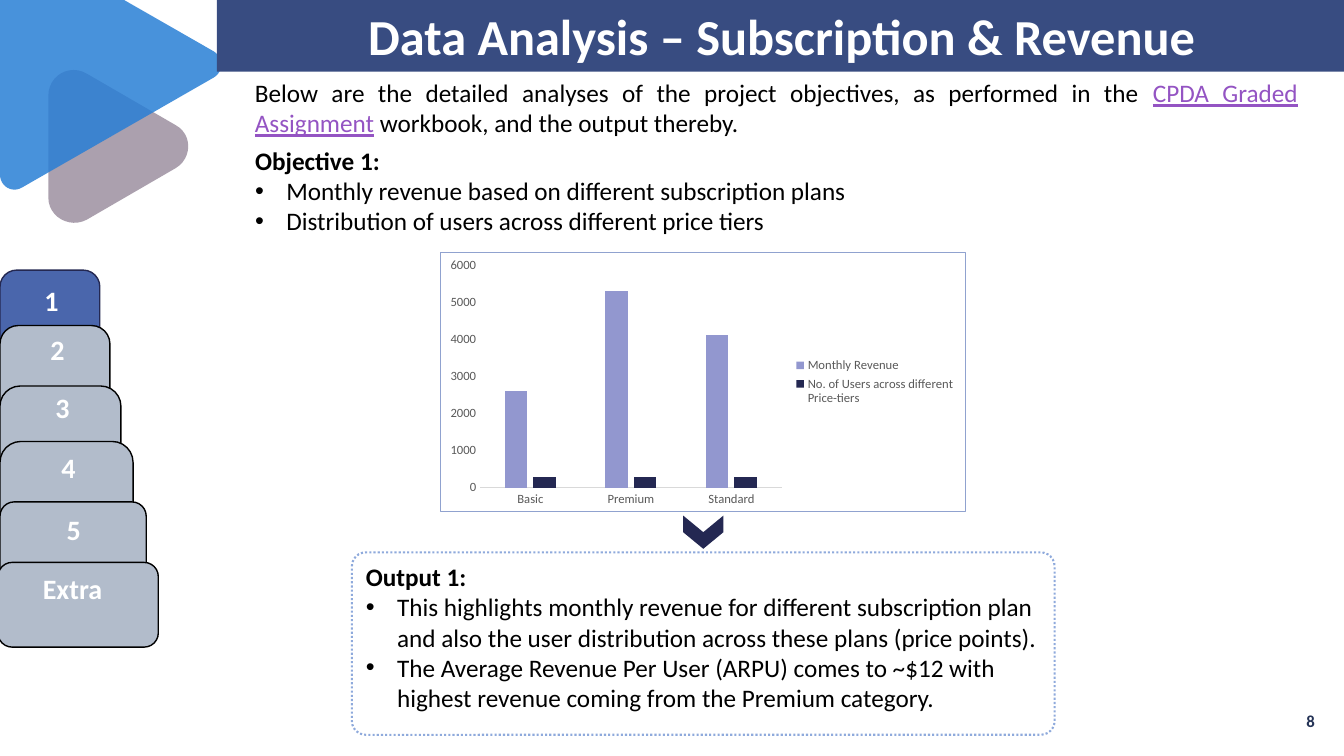
from lxml import etree
from pptx import Presentation
from pptx.chart.data import CategoryChartData
from pptx.dml.color import RGBColor
from pptx.enum.chart import XL_CHART_TYPE, XL_LEGEND_POSITION, XL_TICK_MARK
from pptx.enum.dml import MSO_LINE
from pptx.enum.shapes import MSO_SHAPE
from pptx.enum.text import MSO_ANCHOR, MSO_AUTO_SIZE, PP_ALIGN
from pptx.oxml import parse_xml
from pptx.oxml.ns import nsdecls, qn
from pptx.util import Inches, Pt

COLUMN_CLUSTERED = XL_CHART_TYPE.COLUMN_CLUSTERED
LEGEND_RIGHT = XL_LEGEND_POSITION.RIGHT
NO_TICK = XL_TICK_MARK.NONE
ROUND_DOT = MSO_LINE.ROUND_DOT
RECTANGLE_ROUNDED = MSO_SHAPE.ROUNDED_RECTANGLE
CHEVRON = MSO_SHAPE.CHEVRON
TOP, MIDDLE = MSO_ANCHOR.TOP, MSO_ANCHOR.MIDDLE
NO_AUTOFIT = MSO_AUTO_SIZE.NONE
LEFT, CENTER, RIGHT, JUSTIFY = PP_ALIGN.LEFT, PP_ALIGN.CENTER, PP_ALIGN.RIGHT, PP_ALIGN.JUSTIFY

FONT = "Calibri"
HEX = {
    "white": "FFFFFF", "black": "000000", "banner": "384C81", "mauve": "9D90A0",
    "blue": "297FD5", "link": "9454C3", "page": "253356", "active": "4A66AC",
    "tab": "B2BCCB", "navy": "242852", "lilac": "9297CF", "dots": "8FAADC",
    "border": "90A2CF", "label": "595959", "axis": "D9D9D9",
}
COLORS = {name: RGBColor.from_string(value) for name, value in HEX.items()}


def box(*lengths):
    return tuple(Inches(length) for length in lengths)


def add_run(paragraph, text, size, color, bold=False):
    run = paragraph.add_run()
    run.text = text
    run.font.name = FONT
    run.font.size = Pt(size)
    run.font.bold = bold
    run.font.color.rgb = COLORS[color]
    return run


presentation = Presentation()
presentation.slide_width, presentation.slide_height = box(13.33, 7.5)
slide = presentation.slides.add_slide(presentation.slide_layouts[1])
shapes = slide.shapes
title, objective = shapes.title, slide.placeholders[1]

triangles = [
    ("mauve", [(0.48, 1.46), (0.48, 0.95), (0.48, 0.75, 0.69, 0.63, 0.86, 0.73), (1.74, 1.24),
               (1.91, 1.33, 1.91, 1.57, 1.74, 1.67), (0.86, 2.18),
               (0.69, 2.27, 0.48, 2.15, 0.48, 1.96)]),
    ("blue", [(0, 0), (1.23, 0), (2.12, 0.51), (2.22, 0.57, 2.22, 0.71, 2.12, 0.77),
              (0.22, 1.86), (0.12, 1.92, 0, 1.85, 0, 1.73)]),
]
for color, outline in triangles:
    points = []
    for step in outline:
        if len(step) == 2:
            points.append(step)
            continue
        x0, y0 = points[-1]
        x1, y1, x2, y2, x3, y3 = step
        for t in [index / 12 for index in range(1, 13)]:
            a, b, c, d = (1 - t) ** 3, 3 * t * (1 - t) ** 2, 3 * t * t * (1 - t), t ** 3
            points.append((a * x0 + b * x1 + c * x2 + d * x3,
                           a * y0 + b * y1 + c * y2 + d * y3))
    builder = shapes.build_freeform(*box(*points[0]))
    builder.add_line_segments([box(*point) for point in points[1:]], close=True)
    triangle = builder.convert_to_shape()
    triangle.shadow.inherit = False
    triangle.fill.solid()
    triangle.fill.fore_color.rgb = COLORS[color]
    triangle.line.fill.background()
    solid_color = triangle.element.spPr.find(qn("a:solidFill"))[0]
    etree.SubElement(solid_color, qn("a:alpha"), val="85000")

title.element.getparent().append(title.element)
title.left, title.top, title.width, title.height = box(2.15, -0.01, 11.21, 0.72)
title.fill.solid()
title.fill.fore_color.rgb = COLORS["banner"]
title.text_frame.auto_size = NO_AUTOFIT
title.text_frame.vertical_anchor = MIDDLE
title.text_frame.paragraphs[0].alignment = CENTER
add_run(title.text_frame.paragraphs[0], "Data Analysis – Subscription & Revenue", 36, "white", True)

intro = shapes.add_textbox(*box(2.43, 0.72, 10.54, 0.71)).text_frame
intro.word_wrap = True
paragraph = intro.paragraphs[0]
paragraph.alignment = JUSTIFY
add_run(paragraph, "Below are the detailed analyses of the project objectives, as performed in the ", 18, "black")
add_run(paragraph, "CPDA Graded Assignment", 18, "link").font.underline = True
add_run(paragraph, " workbook, and the output thereby.", 18, "black")

page = shapes.add_textbox(*box(11.67, 6.95, 1.47, 0.4)).text_frame
page.word_wrap = True
page.vertical_anchor = MIDDLE
page.paragraphs[0].alignment = RIGHT
add_run(page.paragraphs[0], "8", 12, "page", True)

tabs = [
    ("1", 0.99, 2.68, 2.44, 2.76, 0.51),
    ("2", 1.09, 3.23, 2.44, 3.25, 0.57),
    ("3", 1.2, 3.83, 2.44, 3.83, 0.62),
    ("4", 1.32, 4.38, 1.24, 4.42, 0.68),
    ("5", 1.45, 4.98, 0.84, 5.04, 0.73),
    ("Extra", 1.59, 5.58, 0.84, 5.62, 0.72),
]
for label, width, top, height, label_top, label_center in tabs:
    active = label == "1"
    left = -0.02 if label == "Extra" else 0
    tab = shapes.add_shape(RECTANGLE_ROUNDED, *box(left, top, width, height))
    tab.shadow.inherit = False
    tab.fill.solid()
    tab.fill.fore_color.rgb = COLORS["active" if active else "tab"]
    tab.line.color.rgb = COLORS["navy" if active else "black"]
    tab.line.width = Pt(1)
    caption = shapes.add_textbox(*box(label_center - 0.54, label_top, 1.08, 0.44)).text_frame
    caption.word_wrap = True
    caption.paragraphs[0].alignment = CENTER
    add_run(caption.paragraphs[0], label, 20, "white", True)

chart_data = CategoryChartData()
chart_data.categories = ["Basic", "Premium", "Standard"]
chart_data.add_series("Monthly Revenue", [2600, 5300, 4100])
chart_data.add_series("No. of Users across different Price-tiers", [300, 300, 300])
chart = shapes.add_chart(COLUMN_CLUSTERED, *box(4.36, 2.5, 5.22, 2.58), chart_data).chart
chart.has_title = False
chart.font.name = FONT
chart.font.size = Pt(9)
chart.font.color.rgb = COLORS["label"]
chart.has_legend = True
chart.legend.position = LEGEND_RIGHT
chart.legend.include_in_layout = False
plot = chart.plots[0]
plot.vary_by_categories = False
plot.gap_width = 219
plot.overlap = -27
for series, color in zip(plot.series, ["lilac", "navy"]):
    series.format.fill.solid()
    series.format.fill.fore_color.rgb = COLORS[color]
for axis in (chart.category_axis, chart.value_axis):
    axis.has_major_gridlines = False
    axis.major_tick_mark = axis.minor_tick_mark = NO_TICK
chart.category_axis.format.line.color.rgb = COLORS["axis"]
chart.category_axis.format.line.width = Pt(0.75)
chart.value_axis.format.line.fill.background()
chart.value_axis.minimum_scale = 0
chart.value_axis.maximum_scale = 6000
chart.value_axis.major_unit = 1000
chart_space = chart.element
chart_space.find(qn("c:txPr")).addprevious(parse_xml(
    f'<c:spPr {nsdecls("c", "a")}><a:solidFill><a:srgbClr val="{HEX["white"]}"/></a:solidFill>'
    f'<a:ln w="{Pt(0.75)}"><a:solidFill><a:srgbClr val="{HEX["border"]}"/></a:solidFill></a:ln></c:spPr>'))

output = shapes.add_shape(RECTANGLE_ROUNDED, *box(3.49, 5.48, 6.97, 1.81))
output.adjustments[0] = 0.076
output.shadow.inherit = False
output.fill.background()
output.line.color.rgb = COLORS["dots"]
output.line.width = Pt(1.5)
output.line.dash_style = ROUND_DOT

arrow = shapes.add_shape(CHEVRON, *box(6.81, 5.08, 0.33, 0.4))
arrow.rotation = 90
arrow.shadow.inherit = False
arrow.fill.solid()
arrow.fill.fore_color.rgb = COLORS["navy"]
arrow.line.fill.background()

objective.left, objective.top, objective.width, objective.height = box(2.43, 1.39, 6.97, 1.01)
lists = [
    (objective, "Objective 1:", [
        "Monthly revenue based on different subscription plans",
        "Distribution of users across different price tiers"]),
    (output, "Output 1:", [
        "This highlights monthly revenue for different subscription plan and also the user "
        "distribution across these plans (price points).",
        "The Average Revenue Per User (ARPU) comes to ~$12 with highest revenue coming from "
        "the Premium category."]),
]
for shape, heading, items in lists:
    frame = shape.text_frame
    frame.word_wrap = True
    frame.auto_size = NO_AUTOFIT
    frame.vertical_anchor = TOP
    for index, text in enumerate([heading] + items):
        paragraph = frame.add_paragraph() if index else frame.paragraphs[0]
        paragraph.alignment = LEFT
        paragraph.space_before = Pt(0)
        properties = paragraph._p.get_or_add_pPr()
        indent = Inches(0.31) if index else 0
        properties.set("marL", str(indent))
        properties.set("indent", str(-indent))
        if index:
            etree.SubElement(properties, qn("a:buFont"), typeface="Arial")
            etree.SubElement(properties, qn("a:buChar"), char="•")
        else:
            etree.SubElement(properties, qn("a:buNone"))
        add_run(paragraph, text, 18, "black", index == 0)

presentation.save("out.pptx")
